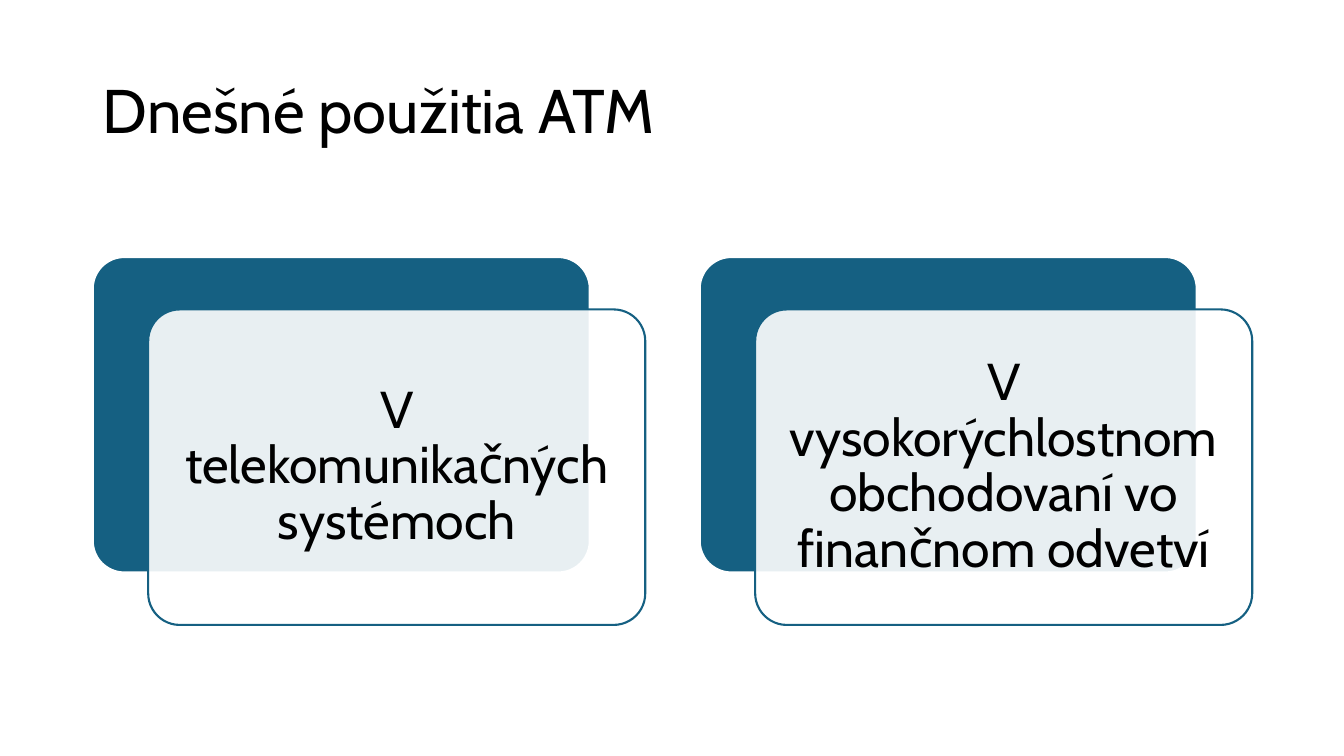
from lxml.etree import SubElement
from pptx import Presentation
from pptx.dml.color import RGBColor
from pptx.enum.shapes import MSO_SHAPE
from pptx.enum.text import MSO_ANCHOR, MSO_AUTO_SIZE, PP_ALIGN
from pptx.oxml.ns import qn
from pptx.util import Inches, Pt

BLUE = RGBColor(0x15, 0x60, 0x82)
WHITE = RGBColor(0xFF, 0xFF, 0xFF)
BLACK = RGBColor(0, 0, 0)

LEFT, TOP = 0.92, 2.55
WIDTH, HEIGHT = 4.93, 3.13
PITCH = 6.02
SHIFT_X, SHIFT_Y = 0.55, 0.52
PAD = Inches(0.15)

USES = [
    "V telekomunikačných systémoch",
    "V vysokorýchlostnom obchodovaní vo finančnom odvetví",
]


def apply(target, values):
    for name, value in values.items():
        setattr(target, name, value)


def write(shape, text, size, align, margins):
    frame = shape.text_frame
    frame.text = text
    apply(frame, {"word_wrap": True, "auto_size": MSO_AUTO_SIZE.NONE,
                  "vertical_anchor": MSO_ANCHOR.MIDDLE, **margins})
    para = frame.paragraphs[0]
    apply(para, {"alignment": align, "line_spacing": 0.9})
    font = para.runs[0].font
    apply(font, {"name": "Cabin", "size": Pt(size)})
    font.color.rgb = BLACK


def add_title(slide, text):
    title = slide.shapes.title
    apply(title, {"left": Inches(LEFT), "top": Inches(0.4),
                  "width": Inches(11.5), "height": Inches(1.45)})
    write(title, text, 44, PP_ALIGN.LEFT, {})


def add_card(slide, left, top, fill, line):
    card = slide.shapes.add_shape(
        MSO_SHAPE.ROUNDED_RECTANGLE,
        *map(Inches, (left, top, WIDTH, HEIGHT)))
    card.adjustments[0] = 0.1
    card.shadow.inherit = False
    card.fill.solid()
    card.fill.fore_color.rgb = fill
    card.line.color.rgb = line
    card.line.width = Pt(1.5)
    return card


def set_alpha(shape, percent):
    """Set the opacity of a solid fill."""
    color = shape._element.spPr.find(qn("a:solidFill"))[0]
    SubElement(color, qn("a:alpha"), val=str(percent * 1000))


def add_use(slide, left, text):
    """Add a blue card with a shifted, see-through text card over it."""
    add_card(slide, left, TOP, BLUE, WHITE)
    front = add_card(slide, left + SHIFT_X, TOP + SHIFT_Y, WHITE, BLUE)
    set_alpha(front, 90)
    sides = ("left", "top", "right", "bottom")
    write(front, text, 37, PP_ALIGN.CENTER,
          {f"margin_{side}": PAD for side in sides})


def main():
    deck = Presentation()
    apply(deck, {"slide_width": Inches(13.33), "slide_height": Inches(7.5)})
    slide = deck.slides.add_slide(deck.slide_layouts[5])
    add_title(slide, "Dnešné použitia ATM")
    for col, text in enumerate(USES):
        add_use(slide, LEFT + col * PITCH, text)
    deck.save("out.pptx")


if __name__ == "__main__":
    main()
